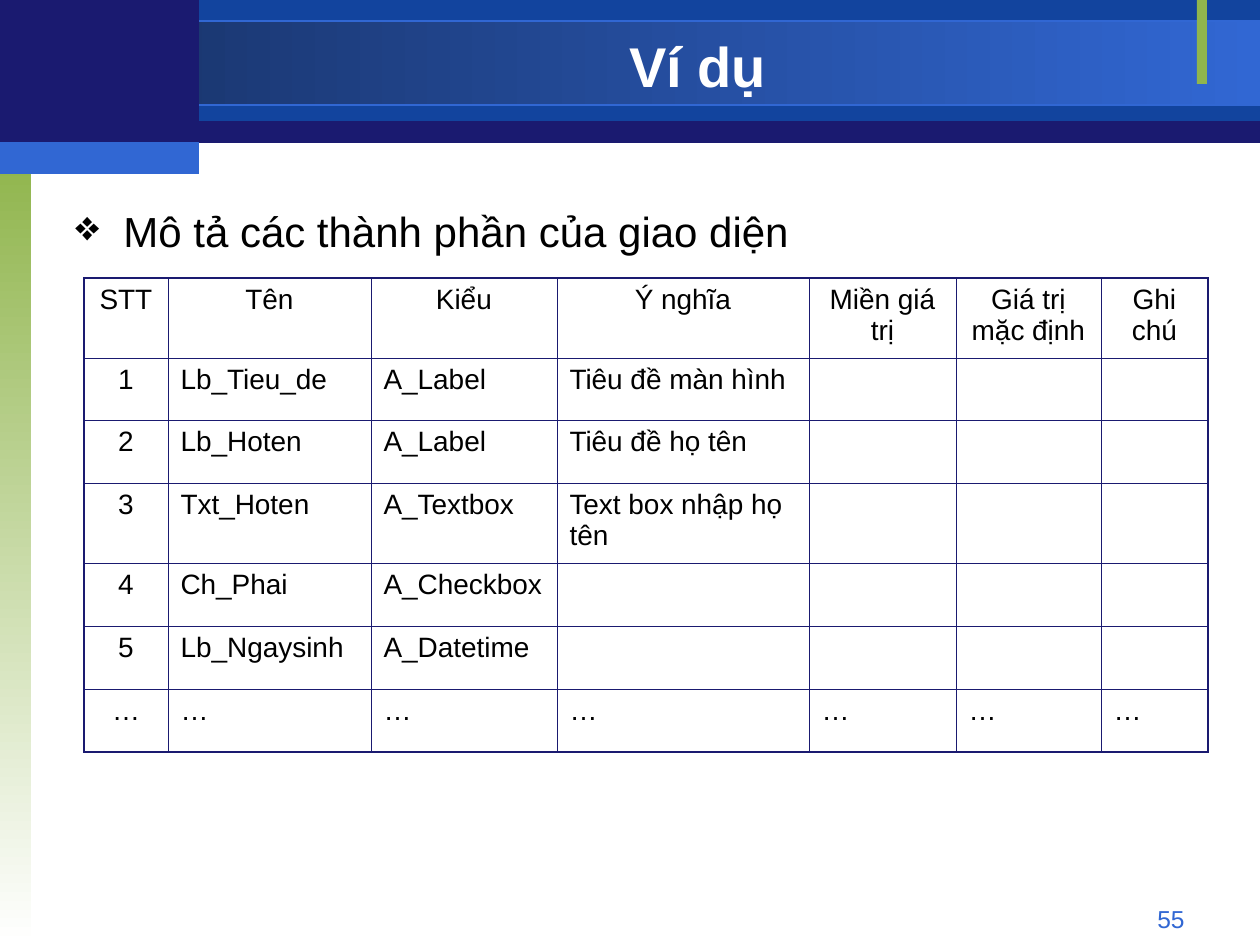
import dataclasses
import typing

import lxml.etree
import pptx
import pptx.dml.color
import pptx.enum.shapes
import pptx.enum.text
import pptx.oxml.ns
import pptx.util

PX = 914400 / 126
FONT = "Arial"
NAVY, BLUE, BRIGHT, GREEN = "1A1A70", "12449E", "3167D3", "90B54D"
WHITE, BLACK = "FFFFFF", "000000"
THICK, THIN = 1.08, 0.45
LEFT = pptx.enum.text.PP_ALIGN.LEFT
CENTER = pptx.enum.text.PP_ALIGN.CENTER
RIGHT = pptx.enum.text.PP_ALIGN.RIGHT


@dataclasses.dataclass
class Bar:
    left: int
    top: int
    width: int
    height: int
    colors: tuple[str, ...]
    angle: int = 0
    outline: str | None = None


BARS = [
    Bar(0, 1, 1260, 142, (NAVY,)),
    Bar(199, 0, 1061, 121, (BLUE,)),
    Bar(0, 21, 1260, 84, ("173062", BRIGHT), outline=BRIGHT),
    Bar(0, 158, 31, 787, (GREEN, WHITE), angle=270),
    Bar(1197, 0, 10, 84, (GREEN,)),
    Bar(0, 0, 199, 147, (NAVY,)),
    Bar(0, 142, 199, 32, (BRIGHT,)),
]

COLUMN_WIDTHS = [84, 203, 186, 252, 147, 145, 107]
ROW_HEIGHTS = [80, 62, 63, 80, 63, 63, 63]
ROWS = [
    ["STT", "Tên", "Kiểu", "Ý nghĩa", "Miền giá trị", "Giá trị mặc định", "Ghi chú"],
    ["1", "Lb_Tieu_de", "A_Label", "Tiêu đề màn hình", "", "", ""],
    ["2", "Lb_Hoten", "A_Label", "Tiêu đề họ tên", "", "", ""],
    ["3", "Txt_Hoten", "A_Textbox", "Text box nhập họ tên", "", "", ""],
    ["4", "Ch_Phai", "A_Checkbox", "", "", "", ""],
    ["5", "Lb_Ngaysinh", "A_Datetime", "", "", "", ""],
    ["…"] * 7,
]


def px(length: int) -> pptx.util.Emu:
    return pptx.util.Emu(round(length * PX))


def rgb(value: str) -> pptx.dml.color.RGBColor:
    return pptx.dml.color.RGBColor.from_string(value)


def write_text(frame: typing.Any, text: str, *, size: int, color: str = BLACK,
               bold: bool = False, align: typing.Any = LEFT,
               spacing: float | None = None, bullet: str | None = None,
               indent: int = 0) -> None:
    frame.word_wrap = True
    para = frame.paragraphs[0]
    para.alignment = align
    if spacing:
        para.line_spacing = spacing
    if bullet:
        properties = para._p.get_or_add_pPr()
        properties.set("marL", str(px(indent)))
        properties.set("indent", str(-px(indent)))
        mark = lxml.etree.SubElement(properties, pptx.oxml.ns.qn("a:buChar"))
        mark.set("char", bullet)
    span = para.add_run()
    span.text = text
    span.font.name = FONT
    span.font.size = pptx.util.Pt(size)
    span.font.bold = bold
    span.font.color.rgb = rgb(color)


def draw_bar(page: typing.Any, bar: Bar) -> None:
    shape = page.shapes.add_shape(
        pptx.enum.shapes.MSO_SHAPE.RECTANGLE,
        px(bar.left), px(bar.top), px(bar.width), px(bar.height))
    shape.shadow.inherit = False
    if len(bar.colors) == 1:
        shape.fill.solid()
        shape.fill.fore_color.rgb = rgb(bar.colors[0])
    else:
        shape.fill.gradient()
        shape.fill.gradient_angle = bar.angle
        for stop, color in zip(shape.fill.gradient_stops, bar.colors):
            stop.color.rgb = rgb(color)
    if bar.outline:
        shape.line.color.rgb = rgb(bar.outline)
        shape.line.width = pptx.util.Pt(0.75)
    else:
        shape.line.fill.background()


def add_text(page: typing.Any, left: int, top: int, width: int, height: int,
             text: str, *, middle: bool = False, **style: typing.Any) -> None:
    box = page.shapes.add_textbox(px(left), px(top), px(width), px(height))
    if middle:
        box.text_frame.vertical_anchor = pptx.enum.text.MSO_ANCHOR.MIDDLE
    write_text(box.text_frame, text, **style)


def set_borders(cell: typing.Any, outer_edges: dict[str, bool]) -> None:
    properties = cell._tc.get_or_add_tcPr()
    for position, (edge, outer) in enumerate(outer_edges.items()):
        line = lxml.etree.Element(pptx.oxml.ns.qn(f"a:{edge}"))
        line.set("w", str(pptx.util.Pt(THICK if outer else THIN)))
        fill = lxml.etree.SubElement(line, pptx.oxml.ns.qn("a:solidFill"))
        color = lxml.etree.SubElement(fill, pptx.oxml.ns.qn("a:srgbClr"))
        color.set("val", NAVY)
        properties.insert(position, line)


def draw_table(page: typing.Any, left: int, top: int) -> None:
    last_row, last_column = len(ROWS) - 1, len(COLUMN_WIDTHS) - 1
    table = page.shapes.add_table(
        len(ROWS), len(COLUMN_WIDTHS), px(left), px(top),
        px(sum(COLUMN_WIDTHS)), px(sum(ROW_HEIGHTS))).table
    table.first_row = table.horz_banding = False
    for column, width in zip(table.columns, COLUMN_WIDTHS):
        column.width = px(width)
    for row, height in zip(table.rows, ROW_HEIGHTS):
        row.height = px(height)
    for i, texts in enumerate(ROWS):
        for j, text in enumerate(texts):
            cell = table.cell(i, j)
            cell.fill.background()
            set_borders(cell, {"lnL": j == 0, "lnR": j == last_column,
                               "lnT": i == 0, "lnB": i == last_row})
            if text:
                write_text(cell.text_frame, text, size=16,
                           align=CENTER if i == 0 or j == 0 else LEFT)


def main() -> None:
    deck = pptx.Presentation()
    deck.slide_width, deck.slide_height = px(1260), px(945)
    page = deck.slides.add_slide(deck.slide_layouts[6])
    for bar in BARS:
        draw_bar(page, bar)
    add_text(page, 903, 898, 294, 34, "55", size=14, color=BRIGHT, align=RIGHT)
    add_text(page, 199, 29, 998, 73, "Ví dụ", middle=True,
             size=32, color=WHITE, bold=True, align=CENTER)
    add_text(page, 63, 189, 1124, 693, "Mô tả các thành phần của giao diện",
             size=24, spacing=1.2, bullet="❖", indent=48)
    draw_table(page, 84, 278)
    deck.save("out.pptx")


if __name__ == "__main__":
    main()
